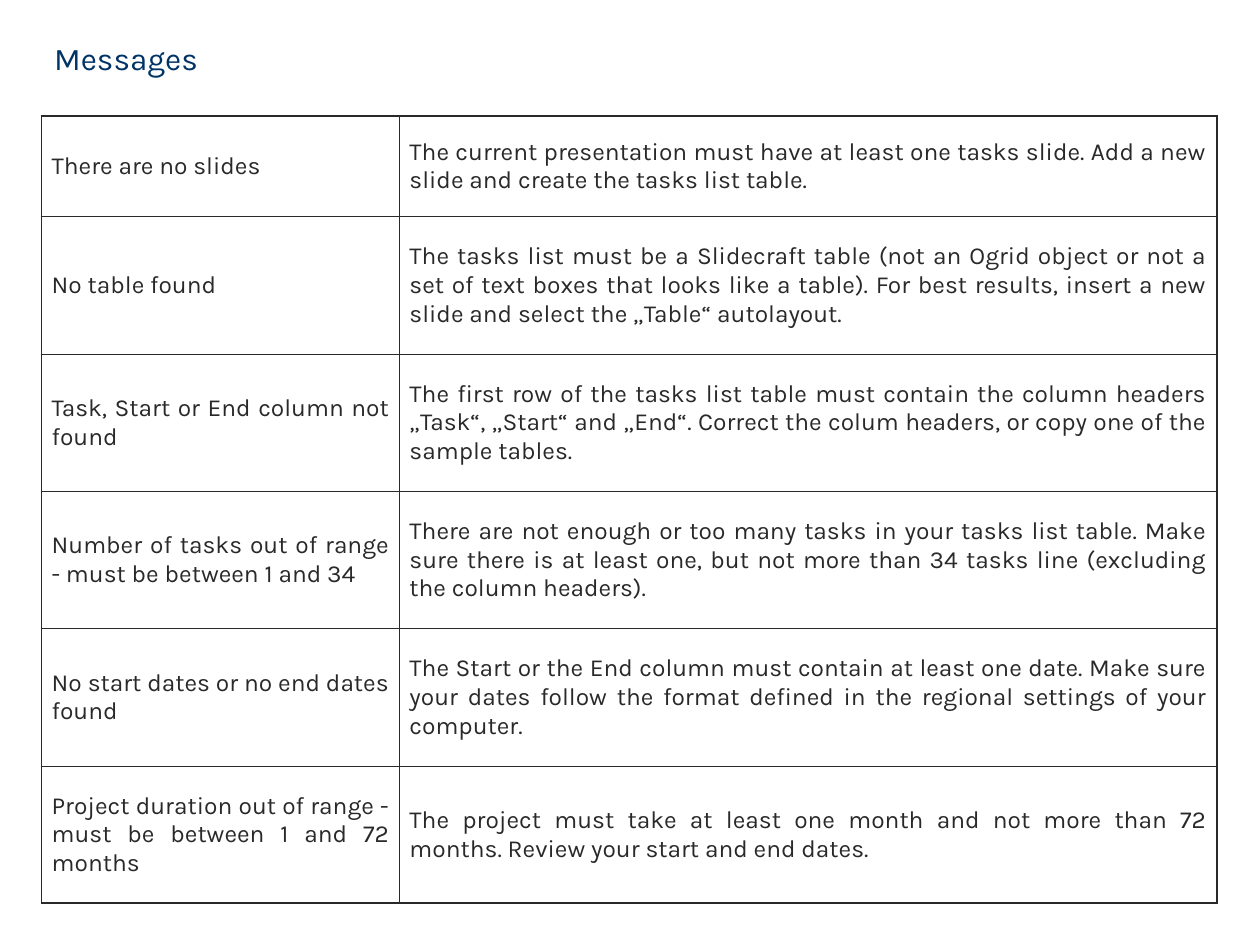
from dataclasses import dataclass
from typing import NamedTuple

from lxml.etree import SubElement
from pptx import Presentation
from pptx.dml.color import RGBColor
from pptx.enum.text import MSO_ANCHOR as Anchor, PP_ALIGN as Align
from pptx.oxml.ns import qn
from pptx.util import Inches, Pt


@dataclass(frozen=True)
class Theme:
    font: str = "Karla"
    title_color: str = "003366"
    body_color: str = "292929"
    title_size: float = 18
    body_size: float = 14
    outer_line: float = 1.08
    inner_line: float = 0.45


class Message(NamedTuple):
    problem: str
    advice: str


THEME = Theme()
LEFT, WIDTH = 0.33, 9.33
TABLE_TOP = 0.92
COL_WIDTHS = (2.84, 6.49)
FIRST_ROW, OTHER_ROW = 0.8, 1.09

MESSAGES = [
    Message("There are no slides",
            "The current presentation must have at least one tasks slide. "
            "Add a new slide and create the tasks list table."),
    Message("No table found",
            "The tasks list must be a Slidecraft table (not an Ogrid object or not a set of "
            "text boxes that looks like a table). For best results, insert a new slide and "
            "select the „Table“ autolayout."),
    Message("Task, Start or End column not found",
            "The first row of the tasks list table must contain the column headers „Task“, "
            "„Start“ and „End“. Correct the colum headers, or copy one of the sample tables."),
    Message("Number of tasks out of range - must be between 1 and 34",
            "There are not enough or too many tasks in your tasks list table. Make sure there "
            "is at least one, but not more than 34 tasks line (excluding the column headers)."),
    Message("No start dates or no end dates found",
            "The Start or the End column must contain at least one date. Make sure your dates "
            "follow the format defined in the regional settings of your computer."),
    Message("Project duration out of range - must be between 1 and 72 months",
            "The project must take at least one month and not more than 72 months. "
            "Review your start and end dates."),
]


def write_text(tf, text: str, size: float, color: str, align: Align) -> None:
    tf.text = text
    p = tf.paragraphs[0]
    p.alignment = align
    font = p.runs[0].font
    font.name, font.size = THEME.font, Pt(size)
    font.color.rgb = RGBColor.from_string(color)


def set_borders(cell, widths: dict[str, float]) -> None:
    """Put the side lines first in the cell properties, as the schema requires."""
    tc_pr = cell._tc.get_or_add_tcPr()
    for i, (side, width) in enumerate(widths.items()):
        ln = SubElement(tc_pr, qn(f"a:ln{side}"), w=str(Pt(width)))
        fill = SubElement(ln, qn("a:solidFill"))
        SubElement(fill, qn("a:srgbClr"), val=THEME.body_color)
        tc_pr.insert(i, ln)


def add_title(slide, text: str) -> None:
    title = slide.shapes.title
    title.left, title.top = Inches(LEFT), Inches(0.17)
    title.width, title.height = Inches(WIDTH), Inches(0.58)
    title.text_frame.vertical_anchor = Anchor.MIDDLE
    write_text(title.text_frame, text, THEME.title_size, THEME.title_color, Align.LEFT)


def add_message_table(slide, messages: list[Message]) -> None:
    n_rows, n_cols = len(messages), len(COL_WIDTHS)
    heights = [FIRST_ROW] + [OTHER_ROW] * (n_rows - 1)
    table = slide.shapes.add_table(n_rows, n_cols, Inches(LEFT), Inches(TABLE_TOP),
                                   Inches(WIDTH), Inches(sum(heights))).table
    table.first_row = table.horz_banding = False
    for column, width in zip(table.columns, COL_WIDTHS):
        column.width = Inches(width)
    for i, (message, height) in enumerate(zip(messages, heights)):
        table.rows[i].height = Inches(height)
        for j, text in enumerate(message):
            cell = table.cell(i, j)
            cell.fill.background()
            cell.vertical_anchor = Anchor.MIDDLE
            cell.margin_left = cell.margin_right = Inches(0.08)
            cell.margin_top = cell.margin_bottom = Inches(0.05)
            write_text(cell.text_frame, text, THEME.body_size, THEME.body_color, Align.JUSTIFY)
            on_edge = {"L": j == 0, "R": j == n_cols - 1, "T": i == 0, "B": i == n_rows - 1}
            set_borders(cell, {side: THEME.outer_line if outer else THEME.inner_line
                               for side, outer in on_edge.items()})


def main() -> None:
    prs = Presentation()
    prs.slide_width, prs.slide_height = Inches(10), Inches(7.5)
    slide = prs.slides.add_slide(prs.slide_layouts[5])
    add_title(slide, "Messages")
    add_message_table(slide, MESSAGES)
    prs.save("out.pptx")


if __name__ == "__main__":
    main()
